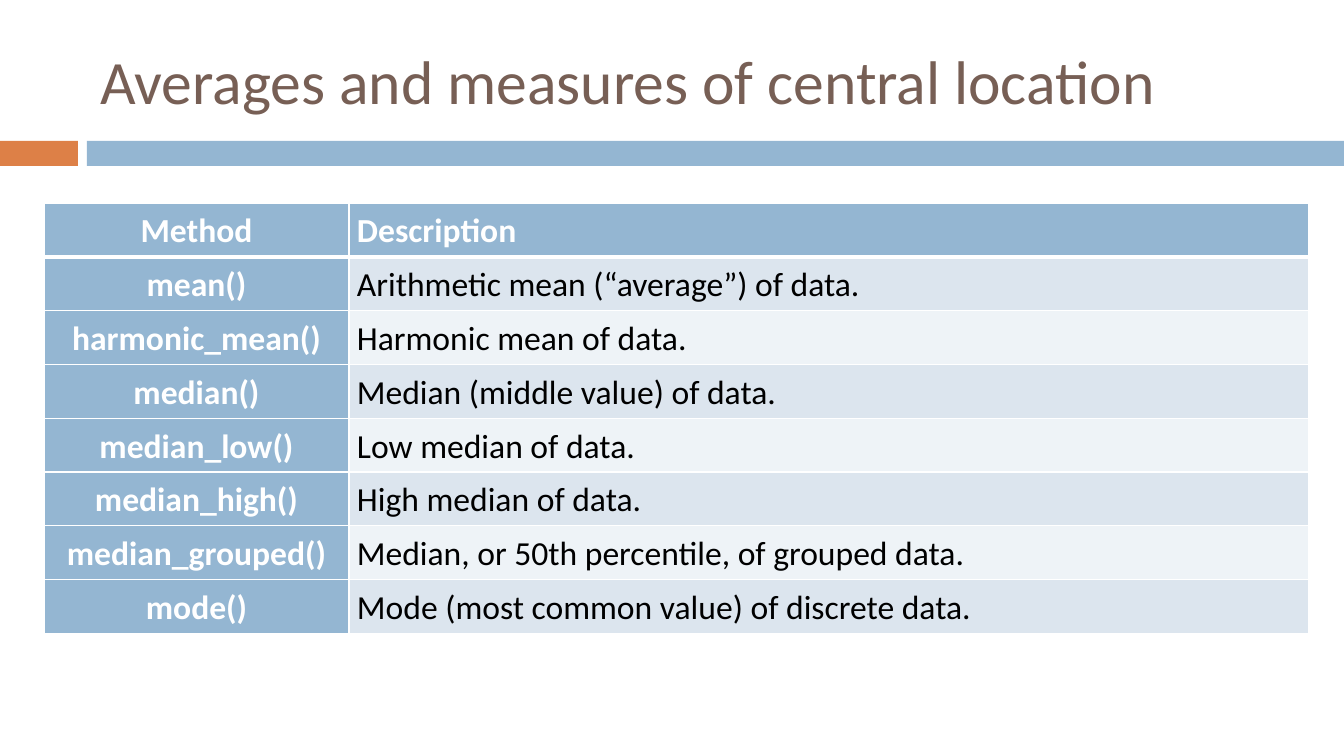
from lxml import etree
from pptx import Presentation
from pptx import util as u
from pptx.dml.color import RGBColor
from pptx.enum import shapes, text
from pptx.oxml.ns import qn

PX = 914400 / 100.8
SLIDE_WIDTH, SLIDE_HEIGHT = 1344, 756
FONT = "Calibri"
COLORS = {
    "title": "775F55",
    "accent": "DD8047",
    "blue": "94B6D2",
    "band_dark": "DCE5EE",
    "band_light": "EEF3F7",
    "white": "FFFFFF",
    "black": "000000",
}
METHODS = [
    ("Method", "Description"),
    ("mean()", "Arithmetic mean (“average”) of data."),
    ("harmonic_mean()", "Harmonic mean of data."),
    ("median()", "Median (middle value) of data."),
    ("median_low()", "Low median of data."),
    ("median_high()", "High median of data."),
    ("median_grouped()", "Median, or 50th percentile, of grouped data."),
    ("mode()", "Mode (most common value) of discrete data."),
]


def px(length):
    return u.Emu(round(length * PX))


def rgb(name):
    return RGBColor.from_string(COLORS[name])


def write(frame, words, size, color, bold=False, align=text.PP_ALIGN.LEFT,
          line_spacing=None, space=None):
    paragraph = frame.paragraphs[0]
    paragraph.alignment = align
    if line_spacing:
        paragraph.line_spacing = line_spacing
    if space is not None:
        paragraph.space_before = paragraph.space_after = u.Pt(space)
    run = paragraph.add_run()
    run.text = words
    run.font.name = FONT
    run.font.size = u.Pt(size)
    run.font.bold = bold
    run.font.color.rgb = rgb(color)


def add_title(slide, words, left, top, width, height):
    title = slide.shapes.title
    title.left, title.top, title.width, title.height = map(px, (left, top, width, height))
    title.text_frame.word_wrap = True
    title.text_frame.vertical_anchor = text.MSO_ANCHOR.MIDDLE
    write(title.text_frame, words, 44, "title")


def add_divider(slide, left, top, width, height):
    """Draw a short accent bar, a gap and a long blue bar across the box."""
    accent_width, gap = 78, 9
    blue_left = left + accent_width + gap
    bars = [(left, accent_width, "accent"),
            (blue_left, left + width - blue_left, "blue")]
    for bar_left, bar_width, color in bars:
        bar = slide.shapes.add_shape(shapes.MSO_SHAPE.RECTANGLE, px(bar_left), px(top),
                                     px(bar_width), px(height))
        bar.shadow.inherit = False
        bar.fill.solid()
        bar.fill.fore_color.rgb = rgb(color)
        bar.line.fill.background()


def set_borders(cell, **widths):
    """Give each named side (L, R, T, B) a white line of that many points."""
    properties = cell._tc.get_or_add_tcPr()
    for side, width in widths.items():
        line = etree.SubElement(properties, qn(f"a:ln{side}"), w=str(u.Pt(width)))
        fill = etree.SubElement(line, qn("a:solidFill"))
        etree.SubElement(fill, qn("a:srgbClr"), val=COLORS["white"])


def format_cell(cell, words, row, column):
    heading = row == 0 or column == 0
    set_borders(cell, L=1, R=1, T=3 if row == 1 else 1, B=3 if row == 0 else 1)
    cell.fill.solid()
    band = "band_dark" if row % 2 else "band_light"
    cell.fill.fore_color.rgb = rgb("blue" if heading else band)
    cell.vertical_anchor = text.MSO_ANCHOR.MIDDLE
    cell.margin_left = cell.margin_right = px(8)
    cell.margin_top = cell.margin_bottom = px(5)
    write(cell.text_frame, words, 24, "white" if heading else "black", bold=heading,
          align=text.PP_ALIGN.LEFT if column else text.PP_ALIGN.CENTER,
          line_spacing=1.07, space=7.5)


def add_method_table(slide, left, top, width, height):
    method_width = 305
    table = slide.shapes.add_table(len(METHODS), 2, px(left), px(top),
                                   px(width), px(height)).table
    table.columns[0].width = px(method_width)
    table.columns[1].width = px(width - method_width)
    for row, entry in enumerate(METHODS):
        for column, words in enumerate(entry):
            format_cell(table.cell(row, column), words, row, column)


def main():
    presentation = Presentation()
    presentation.slide_width = px(SLIDE_WIDTH)
    presentation.slide_height = px(SLIDE_HEIGHT)
    slide = presentation.slides.add_slide(presentation.slide_layouts[5])
    add_divider(slide, 0, 141, SLIDE_WIDTH, 25)
    add_title(slide, "Averages and measures of central location", 90, 25, 1199, 109)
    add_method_table(slide, 44, 203, 1265, 430)
    presentation.save("out.pptx")


if __name__ == "__main__":
    main()
